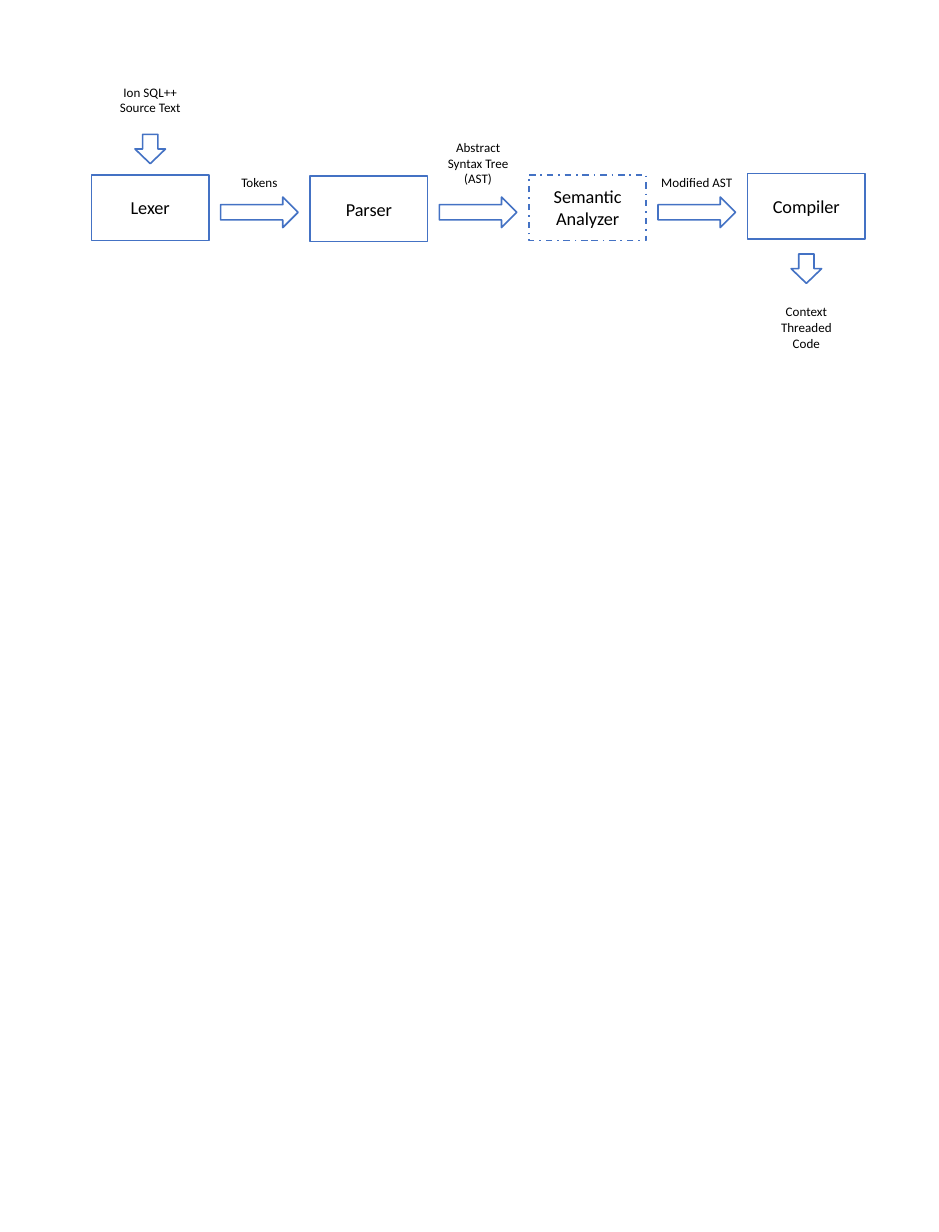
from pptx import Presentation
from pptx import util as u
from pptx.dml.color import RGBColor
from pptx.enum import dml, shapes, text

prs = Presentation()
prs.slide_width, prs.slide_height = u.Inches(8), u.Inches(10.5)
s = prs.slides.add_slide(prs.slide_layouts[6])

# Grid: four equal columns, each a stage box followed by a gap with an arrow
LEFT, PITCH = 0.78, 5.59 / 3
BOX_W, BOX_H = 1, 0.56
ARROW_W, ARROW_H, SHORT_W = 0.66, 0.26, 0.25
ARROW_Y = 1.68


def outlined(kind, x, y, w, h):
    sp = s.shapes.add_shape(kind, *map(u.Inches, (x, y, w, h)))
    sp.shadow.inherit = False
    sp.fill.solid()
    sp.fill.fore_color.rgb = RGBColor.from_string("FFFFFF")
    sp.line.color.rgb = RGBColor.from_string("4472C4")
    sp.line.width = u.Pt(1)
    return sp


def write(sp, lines, size, **frame):
    tf = sp.text_frame
    for name, value in {"word_wrap": True, **frame}.items():
        setattr(tf, name, value)
    tf.text = lines
    for p in tf.paragraphs:
        p.alignment = text.PP_ALIGN.CENTER
        for name, value in {"name": "Calibri", "size": u.Pt(size)}.items():
            setattr(p.font, name, value)
        p.font.color.rgb = RGBColor.from_string("000000")


# Stage boxes: name, top, dash
stages = [
    ("Lexer", 1.49, None),
    ("Parser", 1.5, None),
    ("Semantic\nAnalyzer", 1.49, dml.MSO_LINE.DASH_DOT),
    ("Compiler", 1.48, None),
]
for col, (name, top, dash) in enumerate(stages):
    sp = outlined(shapes.MSO_SHAPE.RECTANGLE, LEFT + col * PITCH, top, BOX_W, BOX_H)
    sp.line.dash_style = dash
    write(sp, name, 11.2, vertical_anchor=text.MSO_ANCHOR.MIDDLE,
          margin_left=u.Inches(0.08), margin_right=u.Inches(0.08),
          margin_top=u.Inches(0.04), margin_bottom=u.Inches(0.04))

# Arrows between the stages
for col in range(len(stages) - 1):
    outlined(shapes.MSO_SHAPE.RIGHT_ARROW, LEFT + 1.1 + col * PITCH, ARROW_Y,
             ARROW_W, ARROW_H)

# Input and output arrows, turned to point down
first = LEFT + BOX_W / 2
last = first + 3 * PITCH
for centre, top in ((first, 1.14), (last, 2.16)):
    sp = outlined(shapes.MSO_SHAPE.RIGHT_ARROW, centre - SHORT_W / 2, top,
                  SHORT_W, ARROW_H)
    sp.rotation = 90

# Labels of the data passed on: text, centre, top, width, height
gap = LEFT + 1.1 + ARROW_W / 2
labels = [
    ("Ion SQL++\nSource Text", first, 0.67, 0.82, 0.37),
    ("Tokens", gap, 1.44, 0.6, 0.24),
    ("Abstract Syntax Tree\n(AST)", gap + PITCH, 1.14, 0.89, 0.5),
    ("Modified AST", gap + 2 * PITCH, 1.44, 0.92, 0.24),
    ("Context Threaded Code", last, 2.54, 0.82, 0.5),
]
for label, centre, top, w, h in labels:
    sp = s.shapes.add_textbox(*map(u.Inches, (centre - w / 2, top, w, h)))
    write(sp, label, 8, auto_size=text.MSO_AUTO_SIZE.SHAPE_TO_FIT_TEXT)

prs.save("out.pptx")
